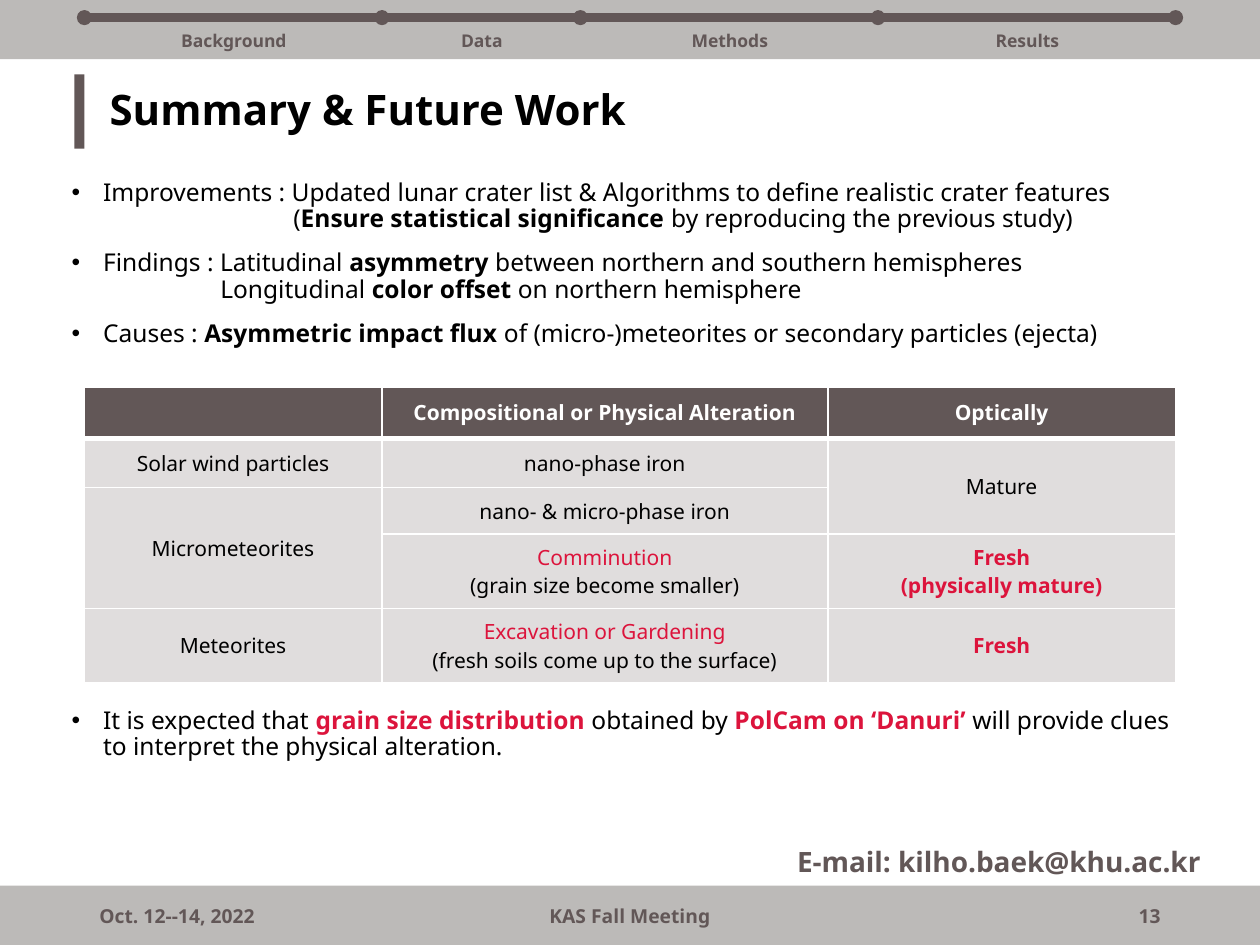
import pptx
import pptx.util
import pptx.dml.color
import pptx.enum.shapes
import pptx.enum.text
import pptx.oxml.ns
from lxml import etree

Inches, Pt = pptx.util.Inches, pptx.util.Pt
RGB = pptx.dml.color.RGBColor
ALIGN = pptx.enum.text.PP_ALIGN
MIDDLE = pptx.enum.text.MSO_ANCHOR.MIDDLE
TOP = pptx.enum.text.MSO_ANCHOR.TOP
KIND = pptx.enum.shapes.MSO_SHAPE

FONT = "Noto Sans"
BROWN = RGB(0x62, 0x57, 0x57)
BAND = RGB(0xBC, 0xBA, 0xB8)
PALE = RGB(0xE0, 0xDD, 0xDD)
RED = RGB(0xDC, 0x14, 0x3C)
BLACK = RGB(0, 0, 0)
WHITE = RGB(255, 255, 255)

# Content: a paragraph is a list of runs, a run is text or (text, style)
BOLD, HOT = {"bold": True}, {"color": RED}
KEY = {**BOLD, **HOT}

TITLE = "Summary & Future Work"
EMAIL = "E-mail: kilho.baek@khu.ac.kr"
FOOTER = [
    ("Oct. 12--14, 2022", 0.69, 2.25, ALIGN.LEFT),
    ("KAS Fall Meeting", 3.31, 3.38, ALIGN.CENTER),
    ("13", 7.06, 2.25, ALIGN.RIGHT),
]
STAGES = [("Background", 3), ("Data", 2), ("Methods", 3), ("Results", 3)]

# Each point: indent of a continuation line (None for a bullet), runs
POINTS = [
    (None, ["Improvements : Updated lunar crater list & Algorithms "
            "to define realistic crater features"]),
    (1.76, ["(", ("Ensure statistical significance", BOLD),
            " by reproducing the previous study)"]),
    (None, ["Findings : Latitudinal ", ("asymmetry", BOLD),
            " between northern and southern hemispheres"]),
    (1.18, ["Longitudinal ", ("color offset", BOLD),
            " on northern hemisphere"]),
    (None, ["Causes : ", ("Asymmetric impact flux", BOLD),
            " of (micro-)meteorites or secondary particles (ejecta)"]),
]
OUTLOOK = [
    (None, ["It is expected that ", ("grain size distribution", KEY),
            " obtained by ", ("PolCam on ‘Danuri’", KEY),
            " will provide clues to interpret the physical alteration."]),
]

COLS = [2.36, 3.54, 2.76]
ROWS = [0.41, 0.39, 0.37, 0.59, 0.59]
CELLS = [
    ["", "Compositional or Physical Alteration", "Optically"],
    ["Solar wind particles", "nano-phase iron", "Mature"],
    ["Micrometeorites", "nano- & micro-phase iron", ""],
    ["", [[("Comminution", HOT)], ["(grain size become smaller)"]],
     [[("Fresh", KEY)], [("(physically mature)", KEY)]]],
    ["Meteorites",
     [[("Excavation or Gardening", HOT)],
      ["(fresh soils come up to the surface)"]],
     [[("Fresh", KEY)]]],
]
MERGES = [((1, 2), (2, 2)), ((2, 0), (3, 0))]

LEFT, WIDE = 0.67, 8.66

deck = pptx.Presentation()
deck.slide_width, deck.slide_height = Inches(10), Inches(7.5)
slide = deck.slides.add_slide(deck.slide_layouts[6])


def write(frame, text, size=12, color=BLACK, bold=False,
          align=ALIGN.LEFT, space=None):
    """Fill a text frame and return its paragraphs."""
    paras = [[text]] if isinstance(text, str) else text
    for i, runs in enumerate(paras):
        para = frame.add_paragraph() if i else frame.paragraphs[0]
        para.alignment = align
        if space:
            para.line_spacing = space
        for item in runs:
            words, style = item if isinstance(item, tuple) else (item, {})
            run = para.add_run()
            run.text = words
            font = run.font
            font.name, font.size = FONT, Pt(size)
            font.bold = style.get("bold", bold)
            font.color.rgb = style.get("color", color)
    return frame.paragraphs


def box(x, y, w, h, text, pad=(0, 0), anchor=MIDDLE, **form):
    shape = slide.shapes.add_textbox(*map(Inches, (x, y, w, h)))
    frame = shape.text_frame
    frame.word_wrap = True
    frame.vertical_anchor = anchor
    frame.margin_left = frame.margin_right = Inches(pad[0])
    frame.margin_top = frame.margin_bottom = Inches(pad[1])
    return write(frame, text, **form)


def block(x, y, w, h, fill, kind=KIND.RECTANGLE, edge=False):
    shape = slide.shapes.add_shape(kind, *map(Inches, (x, y, w, h)))
    shape.shadow.inherit = False
    shape.fill.solid()
    shape.fill.fore_color.rgb = fill
    if edge:
        shape.line.color.rgb = fill
        shape.line.width = Pt(1)
    else:
        shape.line.fill.background()


def sub(node, tag, **attrs):
    return etree.SubElement(node, pptx.oxml.ns.qn(tag), **attrs)


def points(y, h, items):
    paras = box(0.47, y, 9.06, h, [runs for _, runs in items],
                pad=(0.1, 0.05), anchor=TOP, size=14, space=0.9)
    for i, (para, (dent, _)) in enumerate(zip(paras, items)):
        bullet = dent is None
        para.space_before = Pt(10 if bullet and i else 0)
        props = para._p.get_or_add_pPr()
        props.set("marL", str(Inches(0.25 if bullet else dent)))
        props.set("indent", str(Inches(-0.25 if bullet else 0)))
        if bullet:
            sub(props, "a:buFont", typeface="Arial")
            sub(props, "a:buChar", char="•")


def border(cell, foot):
    props = cell._tc.get_or_add_tcPr()
    for side in "LRTB":
        width = foot if side == "B" else 1
        line = sub(props, "a:ln" + side, w=str(Pt(width)))
        sub(sub(line, "a:solidFill"), "a:srgbClr", val=str(WHITE))


# Bands
block(0, 0, 10, 0.47, BAND)
block(0, 7.03, 10, 0.47, BAND)

# Progress line: stage widths are shares of the line
block(LEFT, 0.11, WIDE, 0.06, BROWN, edge=True)
unit = WIDE / sum(share for _, share in STAGES)
spots = [LEFT]
for name, share in STAGES:
    spots.append(spots[-1] + share * unit)
    mid = (spots[-2] + spots[-1]) / 2
    box(mid - 0.98, 0.22, 1.97, 0.2, name, size=10, color=BROWN,
        bold=True, align=ALIGN.CENTER)
for x in spots:
    block(x - 0.06, 0.08, 0.12, 0.12, BROWN, KIND.OVAL)

# Title with its accent bar
block(0.59, 0.59, 0.08, 0.59, BROWN)
box(LEFT, 0.59, WIDE, 0.59, TITLE, pad=(0.2, 0), size=24, bold=True,
    space=0.9)

# Points above and below the table
points(1.38, 1.6, POINTS)
points(5.57, 0.6, OUTLOOK)

# Table
grid = slide.shapes.add_table(
    len(ROWS), len(COLS), Inches(LEFT), Inches(3.07),
    Inches(WIDE), Inches(sum(ROWS))).table
for col, w in zip(grid.columns, COLS):
    col.width = Inches(w)
for row, h in zip(grid.rows, ROWS):
    row.height = Inches(h)
for r, line in enumerate(CELLS):
    head = r == 0
    for c, text in enumerate(line):
        cell = grid.cell(r, c)
        border(cell, 3 if head else 1)
        cell.fill.solid()
        cell.fill.fore_color.rgb = BROWN if head else PALE
        cell.vertical_anchor = MIDDLE
        if text:
            write(cell.text_frame, text, color=WHITE if head else BLACK,
                  bold=head, align=ALIGN.CENTER)
for first, last in MERGES:
    grid.cell(*first).merge(grid.cell(*last))

# Contact and footer
box(5.76, 6.67, 3.77, 0.33, EMAIL, size=16, color=BROWN, bold=True,
    align=ALIGN.RIGHT)
for text, x, w, align in FOOTER:
    box(x, 7.11, w, 0.31, text, pad=(0.1, 0.05), size=11, color=BROWN,
        bold=True, align=align)

deck.save("out.pptx")
